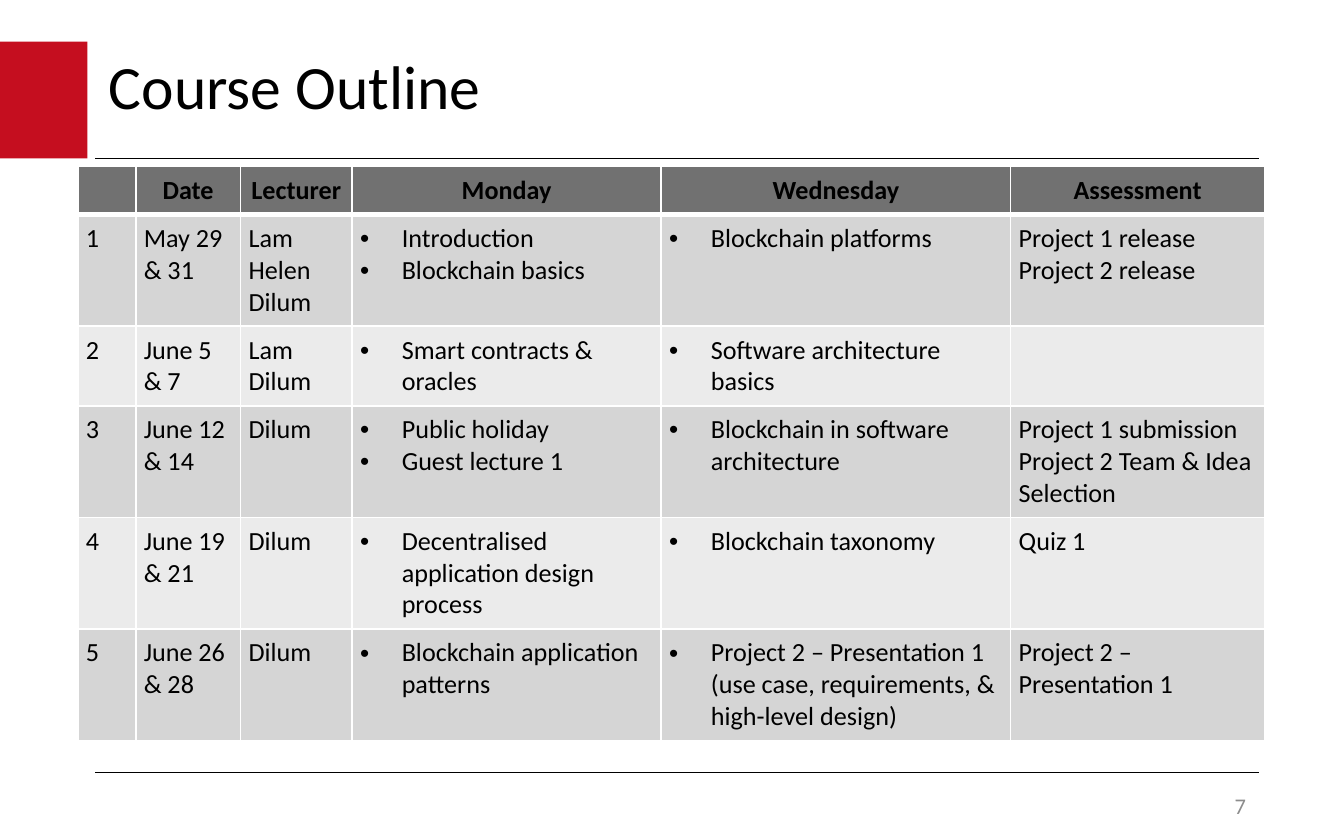
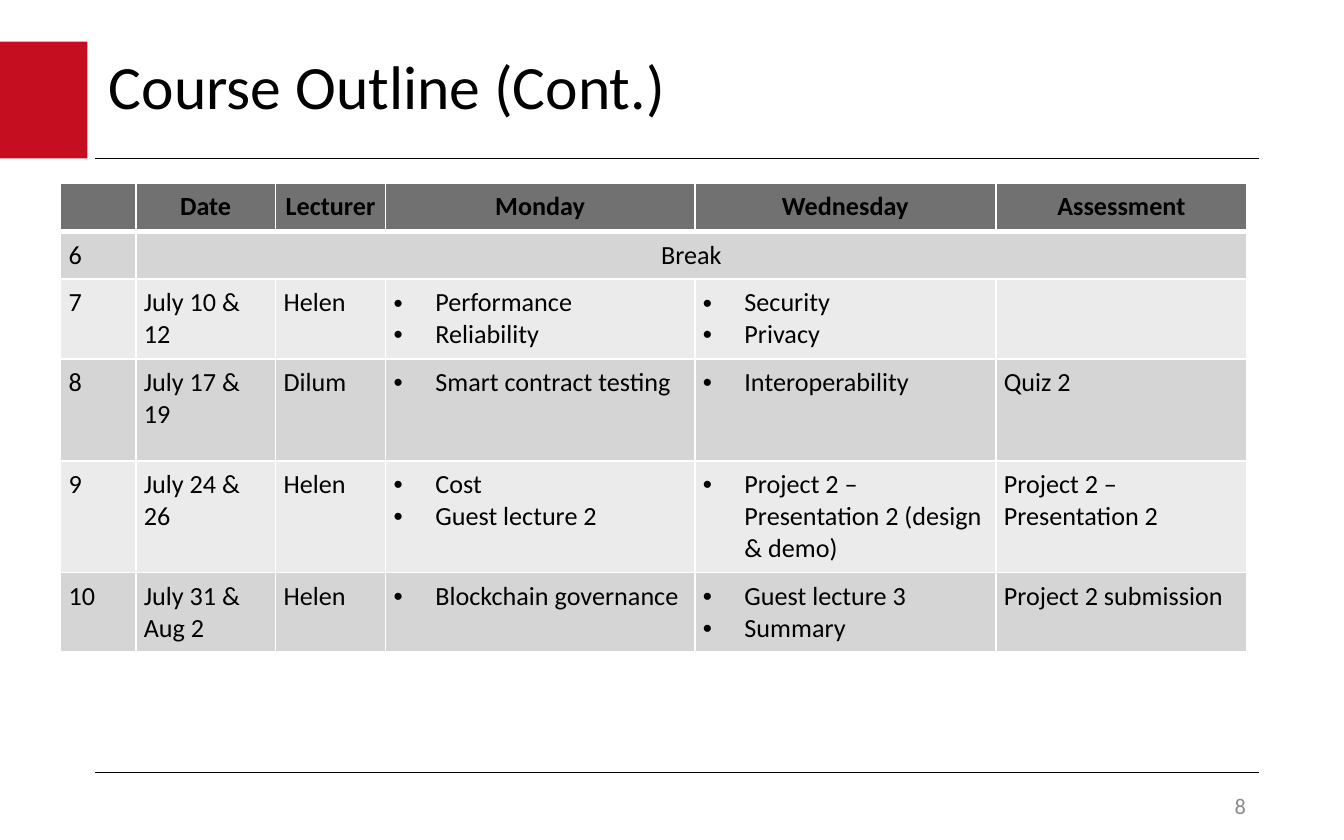
from lxml.etree import SubElement
from pptx import Presentation
from pptx.dml.color import RGBColor
from pptx.enum.shapes import MSO_CONNECTOR as Connector, MSO_SHAPE as Shape
from pptx.enum.text import MSO_ANCHOR as Anchor, MSO_AUTO_SIZE as AutoSize, PP_ALIGN as Align
from pptx.oxml.ns import qn
from pptx.util import Inches, Pt

COLORS = {
    "accent": "C50E1F",
    "text": "000000",
    "number": "8C8C8C",
    "header": "717171",
    "odd_row": "D5D5D5",
    "even_row": "EBEBEB",
    "border": "FFFFFF",
}
FONT = "Calibri"
HEADINGS = ["", "Date", "Lecturer", "Monday", "Wednesday", "Assessment"]
BULLET_COLUMNS = (3, 4)

# A line break inside a cell starts a new paragraph.
PAGES = [
    {
        "title": "Course Outline",
        "number": "7",
        "corner": (0.58, 1.24),
        "widths": [0.43, 0.78, 0.83, 2.3, 2.6, 1.89],
        "heights": [0.35, 0.83, 0.59, 0.83, 0.83, 0.82],
        "weeks": [
            ["1", "May 29 & 31", "Lam\nHelen\nDilum", "Introduction\nBlockchain basics",
             "Blockchain platforms", "Project 1 release\nProject 2 release"],
            ["2", "June 5 & 7", "Lam\nDilum", "Smart contracts & oracles",
             "Software architecture basics", ""],
            ["3", "June 12 & 14", "Dilum", "Public holiday\nGuest lecture 1",
             "Blockchain in software architecture",
             "Project 1 submission\nProject 2 Team & Idea Selection"],
            ["4", "June 19 & 21", "Dilum", "Decentralised application design process",
             "Blockchain taxonomy", "Quiz 1"],
            ["5", "June 26 & 28", "Dilum", "Blockchain application patterns",
             "Project 2 – Presentation 1 (use case, requirements, & high-level design)",
             "Project 2 – Presentation 1"],
        ],
    },
    {
        "title": "Course Outline (Cont.)",
        "number": "8",
        "corner": (0.45, 1.36),
        "widths": [0.56, 1.04, 0.82, 2.3, 2.24, 1.87],
        "heights": [0.36, 0.34, 0.55, 0.76, 0.76, 0.55],
        "weeks": [
            ["6", "Break"],
            ["7", "July 10 & 12", "Helen", "Performance\nReliability", "Security\nPrivacy", ""],
            ["8", "July 17 & 19", "Dilum", "Smart contract testing", "Interoperability", "Quiz 2"],
            ["9", "July 24 & 26", "Helen", "Cost\nGuest lecture 2",
             "Project 2 – Presentation 2 (design & demo)", "Project 2 – Presentation 2"],
            ["10", "July 31 & Aug 2", "Helen", "Blockchain governance",
             "Guest lecture 3\nSummary", "Project 2 submission"],
        ],
    },
]


def write_text(frame, text, size=14, color="text", bold=False, align=Align.LEFT,
               spacing=None, bullet=False):
    """Write one paragraph per line of text, all in the same format."""
    frame.word_wrap = True
    for index, line in enumerate(text.split("\n")):
        para = frame.add_paragraph() if index else frame.paragraphs[0]
        para.alignment = align
        if spacing:
            para.line_spacing = spacing
        if not line:
            # The end mark sets the height of an empty paragraph.
            SubElement(para._p, qn("a:endParaRPr"), sz=str(size * 100))
            continue
        if bullet:
            properties = para._p.get_or_add_pPr()
            properties.set("marL", str(Inches(0.31)))
            properties.set("indent", str(-Inches(0.31)))
            SubElement(properties, qn("a:buFont"), typeface="Arial")
            SubElement(properties, qn("a:buChar"), char="•")
        span = para.add_run()
        span.text = line
        span.font.name = FONT
        span.font.size = Pt(size)
        span.font.bold = bold
        span.font.color.rgb = RGBColor.from_string(COLORS[color])


def style_cell(cell, fill, bottom_width, top_width):
    """Set the insets, borders and fill of a table cell."""
    cell.margin_left = cell.margin_right = Inches(0.06)
    cell.margin_top = cell.margin_bottom = Inches(0.06)
    properties = cell._tc.get_or_add_tcPr()
    for side, width in (("L", 1), ("R", 1), ("T", top_width), ("B", bottom_width)):
        border = SubElement(properties, qn(f"a:ln{side}"), w=str(Pt(width)))
        solid = SubElement(border, qn("a:solidFill"))
        SubElement(solid, qn("a:srgbClr"), val=COLORS["border"])
    cell.fill.solid()
    cell.fill.fore_color.rgb = RGBColor.from_string(COLORS[fill])


deck = Presentation()
deck.slide_width = Inches(10)
deck.slide_height = Inches(6.25)
title_only = deck.slide_layouts[5]

for page in PAGES:
    slide = deck.slides.add_slide(title_only)
    shapes = slide.shapes

    # Red block and the two rules
    block = shapes.add_shape(Shape.RECTANGLE, 0, Inches(0.31), Inches(0.65), Inches(0.87))
    block.shadow.inherit = False
    block.fill.solid()
    block.fill.fore_color.rgb = RGBColor.from_string(COLORS["accent"])
    block.line.fill.background()
    for y in (1.18, 5.75):
        rule = shapes.add_connector(Connector.STRAIGHT, Inches(0.71), Inches(y),
                                    Inches(9.37), Inches(y))
        rule.line.color.rgb = RGBColor.from_string(COLORS["text"])
        rule.line.width = Pt(0.75)
        SubElement(rule._element.spPr, qn("a:effectLst"))

    # Title
    title = shapes.title
    title.left, title.top = Inches(0.71), Inches(0.31)
    title.width, title.height = Inches(8.66), Inches(0.71)
    title.text_frame.auto_size = AutoSize.NONE
    title.text_frame.vertical_anchor = Anchor.MIDDLE
    write_text(title.text_frame, page["title"], size=33, spacing=0.9)

    # Timetable
    rows = [HEADINGS] + page["weeks"]
    left, top = page["corner"]
    table = shapes.add_table(len(rows), len(HEADINGS), Inches(left), Inches(top),
                             Inches(sum(page["widths"])), Inches(sum(page["heights"]))).table
    table.first_row = table.horz_banding = False
    for column, width in zip(table.columns, page["widths"]):
        column.width = Inches(width)
    for row, height in zip(table.rows, page["heights"]):
        row.height = Inches(height)

    for row_index, texts in enumerate(rows):
        is_header = row_index == 0
        is_break = len(texts) == 2
        fill = "header" if is_header else "odd_row" if row_index % 2 else "even_row"
        for column_index in range(len(HEADINGS)):
            cell = table.cell(row_index, column_index)
            style_cell(cell, fill, bottom_width=3 if is_header else 1,
                       top_width=3 if row_index == 1 else 1)
            centred = is_header or (is_break and column_index == 1)
            write_text(cell.text_frame,
                       texts[column_index] if column_index < len(texts) else "",
                       bold=is_header,
                       align=Align.CENTER if centred else Align.LEFT,
                       bullet=not is_header and column_index in BULLET_COLUMNS)
        if is_break:
            table.cell(row_index, 1).merge(table.cell(row_index, len(HEADINGS) - 1))

    # Page number
    box = shapes.add_textbox(Inches(7.34), Inches(5.87), Inches(2.03), Inches(0.25))
    box.text_frame.vertical_anchor = Anchor.MIDDLE
    write_text(box.text_frame, page["number"], size=12, color="number", align=Align.RIGHT)

deck.save("out.pptx")
